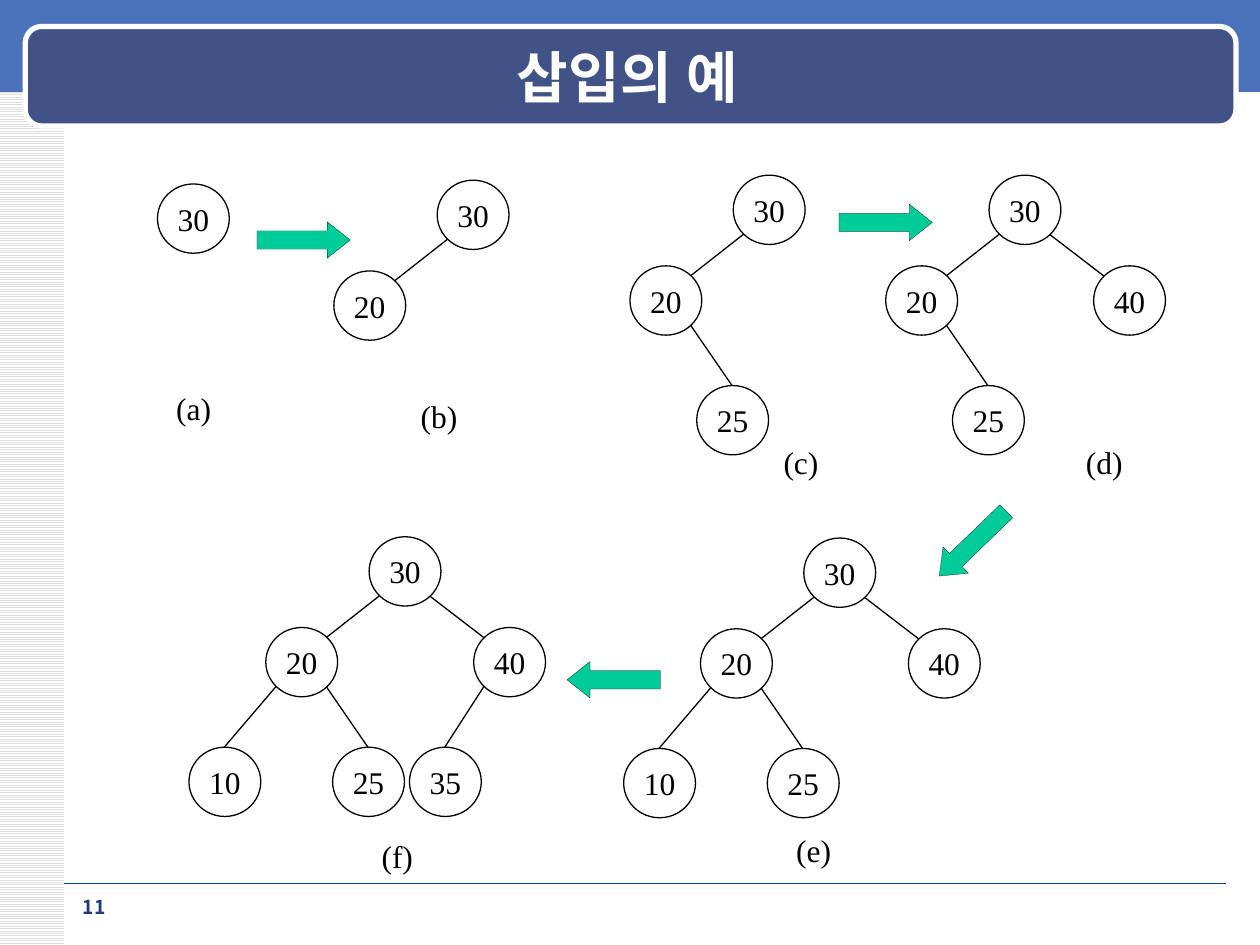
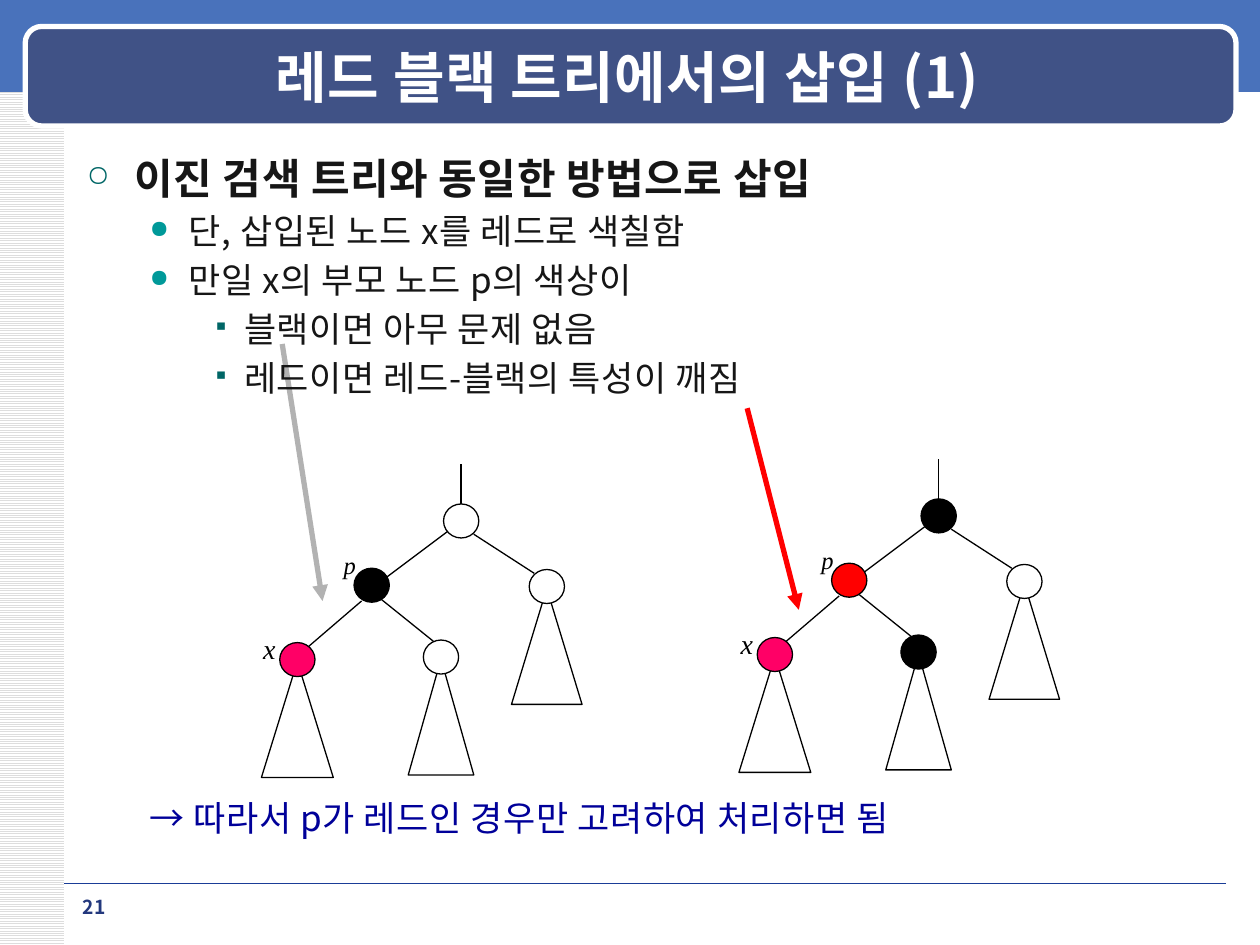
from dataclasses import dataclass

from lxml import etree
from pptx import Presentation
from pptx.dml.color import RGBColor
from pptx.enum.dml import MSO_PATTERN
from pptx.enum.shapes import MSO_CONNECTOR, MSO_SHAPE
from pptx.enum.text import MSO_ANCHOR, PP_ALIGN
from pptx.oxml.ns import qn
from pptx.util import Inches, Pt

STRAIGHT = MSO_CONNECTOR.STRAIGHT
RECTANGLE = MSO_SHAPE.RECTANGLE
ROUNDED = MSO_SHAPE.ROUNDED_RECTANGLE
ELLIPSE = MSO_SHAPE.OVAL
TRIANGLE = MSO_SHAPE.ISOSCELES_TRIANGLE
RIGHT_ARROW = MSO_SHAPE.RIGHT_ARROW
LIGHT_HORIZONTAL = MSO_PATTERN.LIGHT_HORIZONTAL
MIDDLE, TOP = MSO_ANCHOR.MIDDLE, MSO_ANCHOR.TOP
CENTER, LEFT = PP_ALIGN.CENTER, PP_ALIGN.LEFT


@dataclass(frozen=True)
class Theme:
    sans: str = "Noto Sans CJK KR"
    serif: str = "Times New Roman"
    white: str = "FFFFFF"
    black: str = "000000"
    stripe: str = "DDDDDD"
    band: str = "4972BB"
    title_fill: str = "405286"
    rule: str = "1A3D97"
    number: str = "23387D"
    body: str = "161616"
    conclusion: str = "000099"
    dark_bullet: str = "006666"
    bullet: str = "009999"
    step_arrow: str = "00CC99"
    inserted: str = "FF0066"
    red: str = "FF0000"
    gray: str = "B2B2B2"
    title_size: int = 32
    heading_size: int = 24
    body_size: int = 20
    node_size: int = 18
    x_size: int = 16
    p_size: int = 14
    number_size: int = 11
    sans_spacing: str = "30"
    hairline: float = 0.1
    thin: float = 0.75
    thick: float = 3


THEME = Theme()


class Deck:
    def __init__(self, theme):
        self.theme = theme
        self.presentation = Presentation()
        self.presentation.slide_width = Inches(10)
        self.presentation.slide_height = Inches(7.5)
        self.slide = None

    def add_slide(self, title, number):
        theme = self.theme
        layout = self.presentation.slide_layouts[6]
        self.slide = self.presentation.slides.add_slide(layout)
        stripes = self.shape(RECTANGLE, 0, 0, 0.51, 7.5)
        stripes.fill.patterned()
        stripes.fill.pattern = LIGHT_HORIZONTAL
        stripes.fill.fore_color.rgb = RGBColor.from_string(theme.stripe)
        stripes.fill.back_color.rgb = RGBColor.from_string(theme.white)
        self.shape(RECTANGLE, 0, 0, 10, 0.73, theme.band)
        self.line((0.51, 7.01), (9.73, 7.01), theme.rule, theme.hairline)
        self.shape(ROUNDED, 0.2, 0.21, 9.61, 0.79, theme.title_fill,
                   theme.white, theme.thick)
        self.text(title, 0.71, 0.29, 8.54, 0.62, theme.title_size, theme.white,
                  theme.sans, bold=True, align=CENTER, anchor=MIDDLE, wrap=True)
        self.text(number, 0.51, 7.06, 0.47, 0.27, theme.number_size, theme.number,
                  theme.sans, bold=True, align=CENTER, wrap=True)

    def shape(self, kind, left, top, width, height, fill=None, line=None, weight=0):
        shape = self.slide.shapes.add_shape(
            kind, Inches(left), Inches(top), Inches(width), Inches(height))
        shape.shadow.inherit = False
        if fill:
            shape.fill.solid()
            shape.fill.fore_color.rgb = RGBColor.from_string(fill)
        else:
            shape.fill.background()
        if line:
            shape.line.color.rgb = RGBColor.from_string(line)
            shape.line.width = Pt(weight)
        else:
            shape.line.fill.background()
        return shape

    def line(self, start, end, color=THEME.black, weight=THEME.thin, arrow=False):
        connector = self.slide.shapes.add_connector(
            STRAIGHT, *(Inches(value) for value in (*start, *end)))
        connector.line.color.rgb = RGBColor.from_string(color)
        connector.line.width = Pt(weight)
        properties = connector._element.spPr
        if arrow:
            outline = properties.find(qn("a:ln"))
            etree.SubElement(outline, qn("a:tailEnd"), type="triangle")
        etree.SubElement(properties, qn("a:effectLst"))

    def style(self, paragraph, size, color, font, bold=False, italic=False):
        paragraph.font.size = Pt(size)
        paragraph.font.bold = bold
        paragraph.font.italic = italic
        paragraph.font.color.rgb = RGBColor.from_string(color)
        paragraph.font.name = font
        defaults = paragraph._p.pPr.find(qn("a:defRPr"))
        etree.SubElement(defaults, qn("a:ea"), typeface=font)
        if font == self.theme.sans:
            defaults.set("spc", self.theme.sans_spacing)

    def text(self, words, left, top, width, height, size, color, font,
             bold=False, italic=False, align=LEFT, anchor=TOP, wrap=False):
        box = self.slide.shapes.add_textbox(
            Inches(left), Inches(top), Inches(width), Inches(height))
        frame = box.text_frame
        frame.word_wrap = wrap
        frame.vertical_anchor = anchor
        paragraph = frame.paragraphs[0]
        paragraph.text = words
        paragraph.alignment = align
        self.style(paragraph, size, color, font, bold, italic)

    def label(self, words, left, top, size, width=0.52, height=0.4, italic=False):
        self.text(words, left, top, width, height, size, self.theme.black,
                  self.theme.serif, italic=italic)

    def bullets(self, items, left, top, width, height):
        theme = self.theme
        levels = [
            (0.38, 0.38, "○", theme.dark_bullet, 70, theme.heading_size),
            (0.81, 0.31, "●", theme.bullet, 70, theme.body_size),
            (1.25, 0.25, "▪", theme.dark_bullet, 65, theme.body_size),
        ]
        frame = self.slide.shapes.add_textbox(
            Inches(left), Inches(top), Inches(width), Inches(height)).text_frame
        frame.word_wrap = True
        for index, (level, words) in enumerate(items):
            margin, hanging, mark, color, percent, size = levels[level]
            paragraph = frame.paragraphs[0] if index == 0 else frame.add_paragraph()
            paragraph.text = words
            paragraph.level = level
            if index:
                paragraph.space_before = Pt(4)
            properties = paragraph._p.get_or_add_pPr()
            properties.set("marL", str(Inches(margin)))
            properties.set("indent", str(-Inches(hanging)))
            bullet_color = etree.SubElement(properties, qn("a:buClr"))
            etree.SubElement(bullet_color, qn("a:srgbClr"), val=color)
            etree.SubElement(properties, qn("a:buSzPct"), val=str(percent * 1000))
            etree.SubElement(properties, qn("a:buChar"), char=mark)
            self.style(paragraph, size, theme.body, theme.sans, bold=level == 0)

    def number_node(self, value, left, top):
        theme = self.theme
        node = self.shape(ELLIPSE, left, top, 0.57, 0.55, None, theme.black, theme.thin)
        frame = node.text_frame
        frame.word_wrap = False
        frame.vertical_anchor = MIDDLE
        paragraph = frame.paragraphs[0]
        paragraph.text = str(value)
        paragraph.alignment = CENTER
        self.style(paragraph, theme.node_size, theme.black, theme.serif)

    def number_tree(self, left, top, values):
        offsets = {"": (0, 0), "L": (-0.82, 0.72), "R": (0.83, 0.72),
                   "LL": (-1.43, 1.67), "LR": (-0.29, 1.67), "RL": (0.32, 1.67)}
        near, far = 0.08, 0.48
        for place, value in values.items():
            across, down = offsets[place]
            x, y = left + across, top + down
            self.number_node(value, x, y)
            if not place:
                continue
            parent_across, parent_down = offsets[place[:-1]]
            goes_left = place[-1] == "L"
            start = (left + parent_across + (near if goes_left else far),
                     top + parent_down + 0.47)
            if len(place) == 1:
                end = (x + (far if goes_left else near), y + 0.08)
            else:
                end = (x + 0.28, y)
            self.line(start, end)

    def step_arrow(self, left, top, rotation=0):
        arrow = self.shape(RIGHT_ARROW, left, top, 0.74, 0.29,
                           self.theme.step_arrow, self.theme.black,
                           self.theme.hairline)
        arrow.adjustments[0] = 0.5
        arrow.adjustments[1] = 0.63
        arrow.rotation = rotation

    def color_tree(self, left, top, root, parent, sibling):
        theme = self.theme
        edges = [(1.67, 0, 1.67, -0.32), (1.56, 0.22, 1.08, 0.58),
                 (1.77, 0.24, 2.25, 0.55), (0.88, 0.77, 0.46, 1.13),
                 (1.04, 0.76, 1.45, 1.09)]
        for x1, y1, x2, y2 in edges:
            self.line((left + x1, top + y1), (left + x2, top + y2))
        nodes = [(1.53, 0, root, 0), (0.82, 0.51, parent, 0),
                 (2.21, 0.52, theme.white, 0.56),
                 (0.23, 1.1, theme.inserted, 0.57), (1.37, 1.08, sibling, 0.52)]
        for across, down, fill, subtree in nodes:
            x, y = left + across, top + down
            if subtree:
                self.shape(TRIANGLE, x + 0.14 - subtree / 2, y + 0.15, subtree, 0.92,
                           None, theme.black, theme.thin)
            self.shape(ELLIPSE, x, y, 0.28, 0.27, fill, theme.black, theme.thin)
        self.label("x", left, top + 0.96, theme.x_size, 0.3, 0.37, italic=True)
        self.label("p", left + 0.64, top + 0.32, theme.p_size, 0.3, 0.33, italic=True)


def insertion_example(deck):
    deck.add_slide("삽입의 예", "11")
    before = {"": 30, "L": 20, "LR": 25}
    with_40 = {**before, "R": 40}
    with_10 = {**with_40, "LL": 10}
    trees = [
        (1.25, 1.46, {"": 30}),
        (3.47, 1.43, {"": 30, "L": 20}),
        (5.82, 1.39, before),
        (7.85, 1.39, with_40),
        (6.38, 4.27, with_10),
        (2.93, 4.26, {**with_10, "RL": 35}),
    ]
    for tree in trees:
        deck.number_tree(*tree)
    label_places = [(1.3, 3.04), (3.24, 3.1), (6.12, 3.47),
                    (8.52, 3.47), (6.22, 6.55), (2.93, 6.59)]
    for letter, (left, top) in zip("abcdef", label_places):
        deck.label(f"({letter})", left, top, deck.theme.node_size)
    for arrow in [(2.04, 1.76), (6.66, 1.62), (7.35, 4.17, 136), (4.5, 5.25, 180)]:
        deck.step_arrow(*arrow)


def red_black_insertion(deck):
    theme = deck.theme
    deck.add_slide("레드 블랙 트리에서의 삽입 (1)", "21")
    deck.line((2.24, 2.73), (2.56, 4.77), theme.gray, theme.thick, arrow=True)
    deck.bullets([
        (0, "이진 검색 트리와 동일한 방법으로 삽입"),
        (1, "단, 삽입된 노드 x를 레드로 색칠함"),
        (1, "만일 x의 부모 노드 p의 색상이"),
        (2, "블랙이면 아무 문제 없음"),
        (2, "레드이면 레드-블랙의 특성이 깨짐"),
    ], 0.59, 1.16, 8.9, 2.2)
    deck.text("→ 따라서 p가 레드인 경우만 고려하여 처리하면 됨", 1.09, 6.27, 8.4, 0.5,
              theme.body_size, theme.conclusion, theme.sans, wrap=True)
    deck.color_tree(1.99, 4, theme.white, theme.black, theme.white)
    deck.color_tree(5.78, 3.96, theme.black, theme.red, theme.black)
    deck.line((5.93, 3.24), (6.34, 4.84), theme.red, theme.thick, arrow=True)


def main():
    deck = Deck(THEME)
    insertion_example(deck)
    red_black_insertion(deck)
    deck.presentation.save("out.pptx")


if __name__ == "__main__":
    main()
